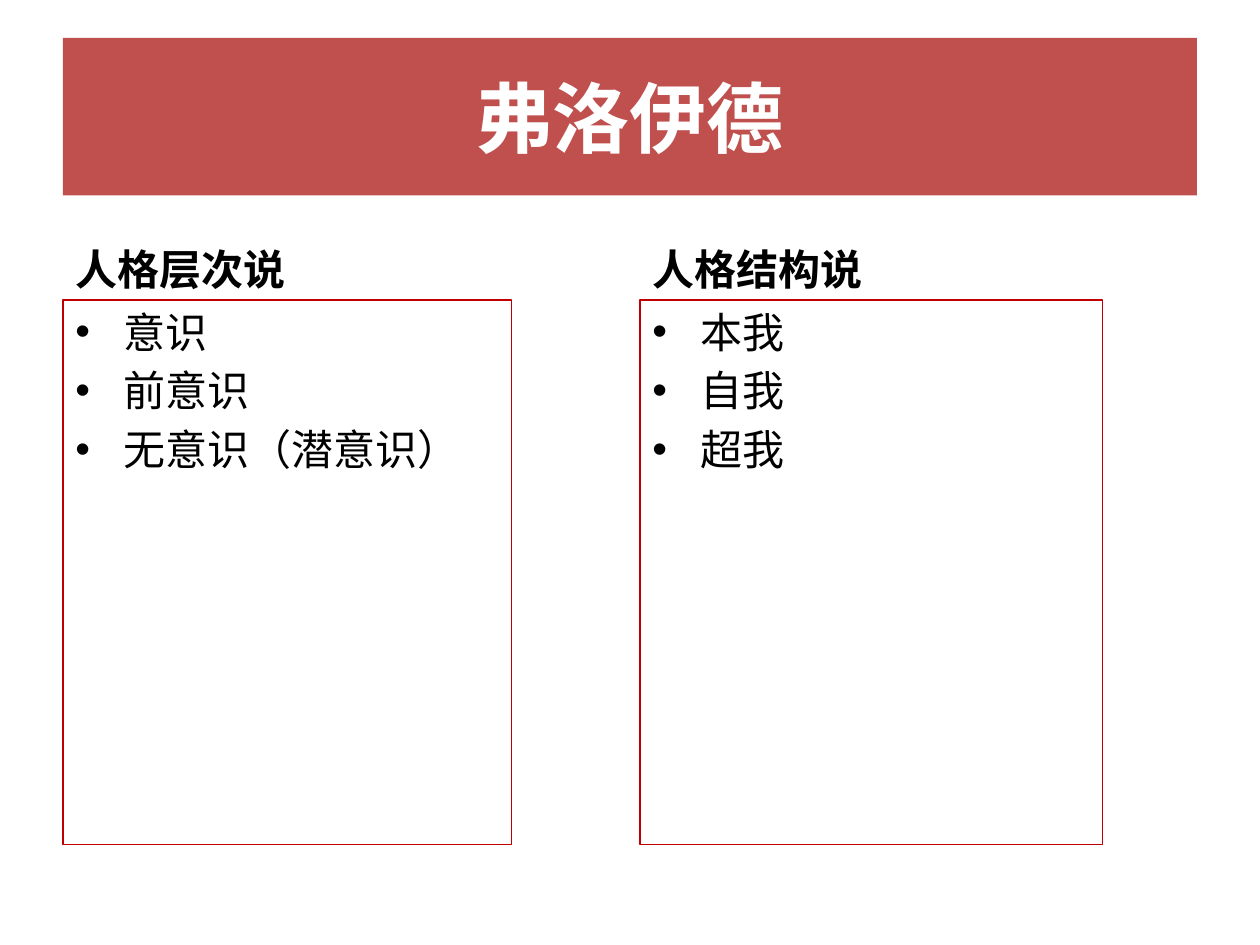
from dataclasses import dataclass

from lxml import etree
from pptx import Presentation
from pptx import util as u
from pptx.dml.color import RGBColor
from pptx.enum import shapes, text
from pptx.oxml import ns


@dataclass(frozen=True)
class Theme:
    font: str = "Calibri"
    banner: RGBColor = RGBColor(0xC0, 0x50, 0x4D)
    frame: RGBColor = RGBColor(0xC0, 0x00, 0x00)
    ink: RGBColor = RGBColor(0, 0, 0)
    light: RGBColor = RGBColor(0xFF, 0xFF, 0xFF)
    title_size: int = 44
    body_size: int = 24
    frame_width: float = 0.75


@dataclass(frozen=True)
class Column:
    left: float
    frame_width: float
    heading: str
    items: tuple[str, ...]


THEME = Theme()
HEADING_TOP, HEADING_WIDTH, HEADING_HEIGHT = 1.68, 4.42, 0.7
FRAME_TOP, FRAME_HEIGHT = HEADING_TOP + HEADING_HEIGHT, 4.32
INDENT = 0.38
COLUMNS = (
    Column(0.5, 3.56, "人格层次说", ("意识", "前意识", "无意识（潜意识）")),
    Column(5.08, 3.67, "人格结构说", ("本我", "自我", "超我")),
)


def add_rectangle(page, left: float, top: float, width: float, height: float):
    box = page.shapes.add_shape(
        shapes.MSO_SHAPE.RECTANGLE,
        u.Inches(left), u.Inches(top), u.Inches(width), u.Inches(height),
    )
    box.shadow.inherit = False
    return box


def format_paragraph(para, *, spaced: bool, bullet: bool) -> None:
    """Set relative space before and a hanging bullet."""
    properties = para._p.get_or_add_pPr()
    if spaced:
        before = etree.SubElement(properties, ns.qn("a:spcBef"))
        etree.SubElement(before, ns.qn("a:spcPct"), val="20000")
    if bullet:
        properties.set("marL", str(u.Inches(INDENT)))
        properties.set("indent", str(-u.Inches(INDENT)))
        etree.SubElement(properties, ns.qn("a:buFont"), typeface="Arial")
        etree.SubElement(properties, ns.qn("a:buChar"), char="•")


def write(box, *lines: str, size: int = THEME.body_size, color: RGBColor = THEME.ink,
          bold: bool = False, align=text.PP_ALIGN.LEFT,
          anchor=text.MSO_ANCHOR.TOP, spaced: bool = True, bullet: bool = False) -> None:
    frame = box.text_frame
    frame.word_wrap = True
    frame.vertical_anchor = anchor
    for index, line in enumerate(lines):
        para = frame.add_paragraph() if index else frame.paragraphs[0]
        para.alignment = align
        format_paragraph(para, spaced=spaced, bullet=bullet)
        span = para.add_run()
        span.text = line
        span.font.name = THEME.font
        span.font.size = u.Pt(size)
        span.font.bold = bold
        span.font.color.rgb = color


def add_banner(page, title: str) -> None:
    box = add_rectangle(page, 0.5, 0.3, 9, 1.25)
    box.fill.solid()
    box.fill.fore_color.rgb = THEME.banner
    box.line.fill.background()
    write(box, title, size=THEME.title_size, color=THEME.light, bold=True,
          align=text.PP_ALIGN.CENTER, anchor=text.MSO_ANCHOR.MIDDLE, spaced=False)


def add_column(page, column: Column) -> None:
    heading = page.shapes.add_textbox(
        u.Inches(column.left), u.Inches(HEADING_TOP),
        u.Inches(HEADING_WIDTH), u.Inches(HEADING_HEIGHT),
    )
    write(heading, column.heading, bold=True, anchor=text.MSO_ANCHOR.BOTTOM)

    box = add_rectangle(page, column.left, FRAME_TOP, column.frame_width, FRAME_HEIGHT)
    box.fill.background()
    box.line.color.rgb = THEME.frame
    box.line.width = u.Pt(THEME.frame_width)
    write(box, *column.items, bullet=True)


def main() -> None:
    deck = Presentation()
    deck.slide_width, deck.slide_height = u.Inches(10), u.Inches(7.5)
    page = deck.slides.add_slide(deck.slide_layouts[6])

    # Title banner
    add_banner(page, "弗洛伊德")

    # Two theories side by side
    for column in COLUMNS:
        add_column(page, column)

    deck.save("out.pptx")


if __name__ == "__main__":
    main()
